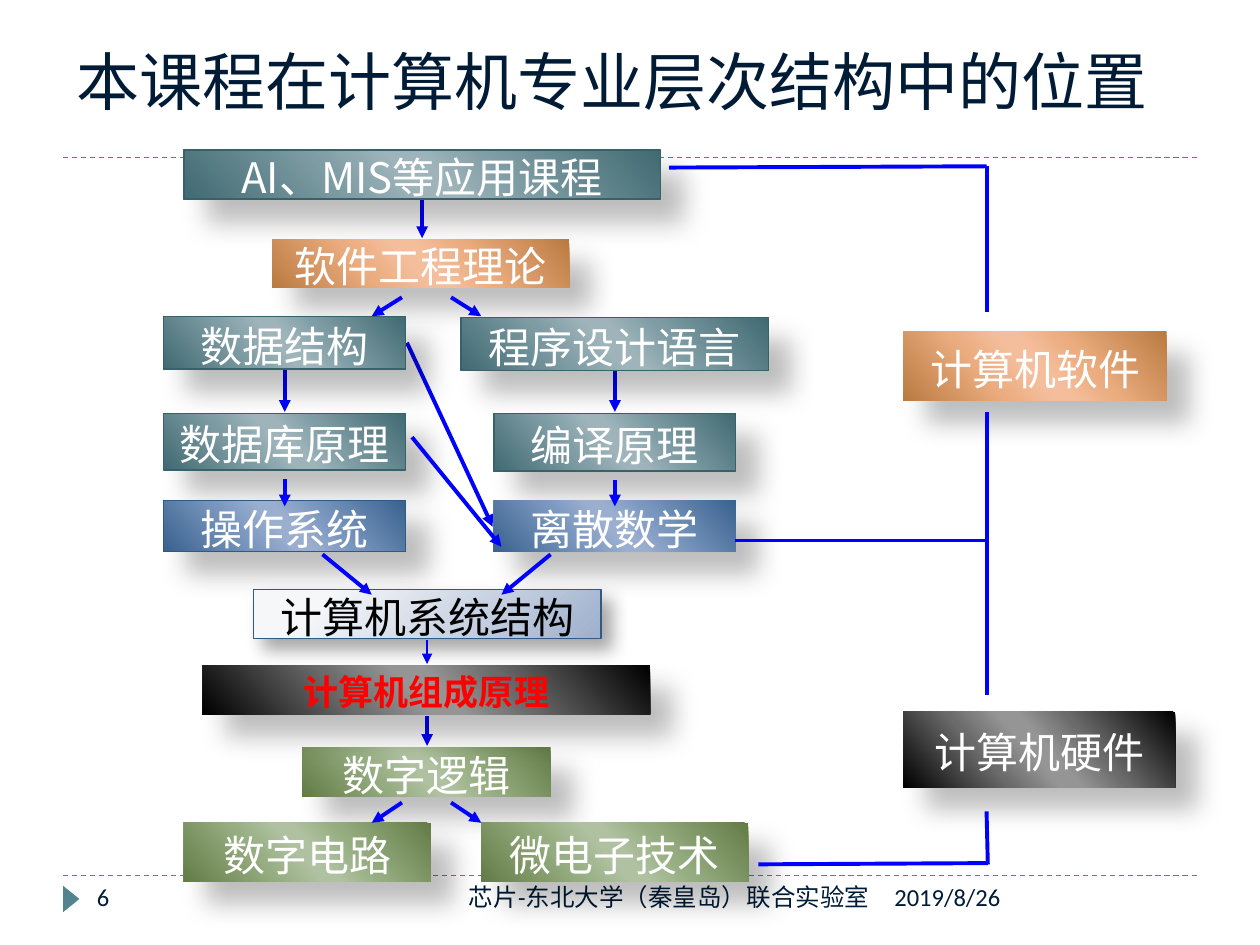
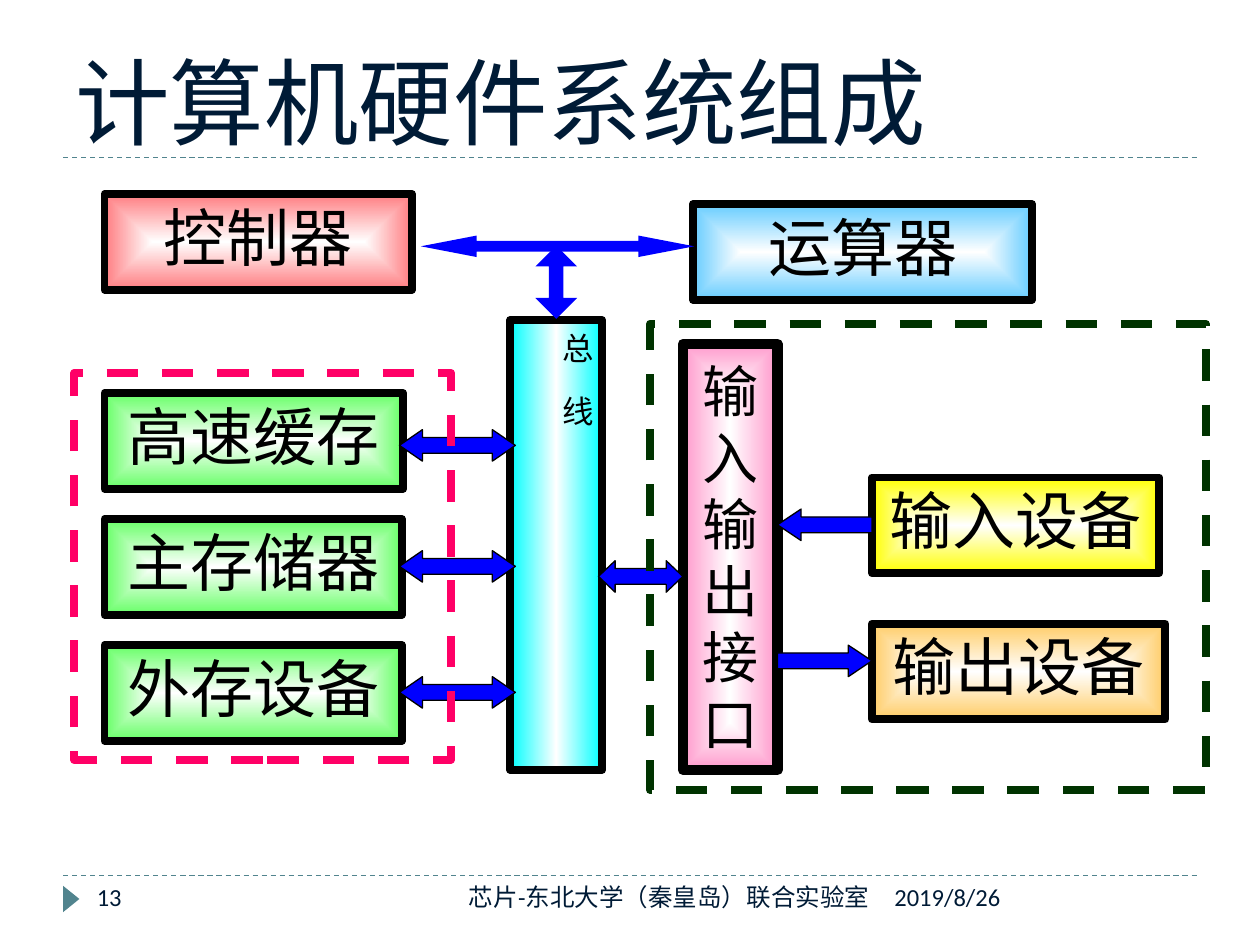
from lxml import etree
from pptx import Presentation
from pptx.dml.color import RGBColor
from pptx.enum.dml import MSO_LINE_DASH_STYLE as Dash
from pptx.enum.shapes import MSO_CONNECTOR, MSO_SHAPE as Shape
from pptx.enum.text import MSO_ANCHOR as Anchor, PP_ALIGN as Align
from pptx.oxml import parse_xml
from pptx.oxml.ns import nsdecls, qn
from pptx.util import Inches, Pt

COLORS = {
    "ink": "001B36", "rule": "51848E", "arrow": "0000FF",
    "black": "000000", "white": "FFFFFF", "red": "FF0000",
    "cyan": "00FFFF", "green": "66FF66", "rose": "FF7C80", "sky": "66CCFF",
    "yellow": "FFFF00", "amber": "FFCC66", "pink": "FF99CC",
    "io_frame": "003300", "memory_frame": "FF0066",
    "teal_edge": "396169", "blue_edge": "305984",
}
# Edge, middle and centre colours of each glossy band
GLOSS = {
    "teal": ("416A72", "7E9CA4", "9EB4BA"),
    "orange": ("BA7B42", "EBAC7F", "F4BE9C"),
    "blue": ("39628E", "7996BE", "9AAECF"),
    "gray": ("000000", "6B6B6B", "959595"),
    "olive": ("637C46", "96AD81", "AFC1A0"),
}
CJK, LATIN, HEADING = "Noto Sans CJK SC", "Calibri", "Roboto Slab"
COLUMNS, ROWS = 100, 75


def linear(stops, angle):
    return stops, f'<a:lin ang="{angle * 60000}" scaled="0"/>'


def radial(stops, outline, *sides):
    rect = " ".join(f'{name}="{side * 1000}"' for name, side in zip("ltrb", sides))
    return stops, f'<a:path path="{outline}"><a:fillToRect {rect}/></a:path>'


def gloss(name):
    edge, middle, centre = GLOSS[name]
    return linear([(0, edge), (33, middle), (47, centre), (53, centre),
                   (68, middle), (100, edge)], 139)


def glow(name):
    return radial([(0, COLORS["white"]), (100, COLORS[name])], "shape", 50, 50, 50, 50)


class Deck:
    """Holds the style and the current slide; lengths are grid columns and rows."""

    def __init__(self):
        self.prs = Presentation()
        self.prs.slide_width, self.prs.slide_height = Inches(10), Inches(7.5)
        self.slide = None

    def x(self, columns):
        return round(self.prs.slide_width * columns / COLUMNS)

    def y(self, rows):
        return round(self.prs.slide_height * rows / ROWS)

    def area(self, left, top, width, height):
        return self.x(left), self.y(top), self.x(width), self.y(height)

    def color(self, name):
        return RGBColor.from_string(COLORS[name])

    def stroke(self, line, color, width, dash=None):
        line.color.rgb = self.color(color)
        line.width = Pt(width)
        if dash:
            line.dash_style = dash

    def set_text(self, shape, text, size, color="black", font=CJK, align=Align.CENTER,
                 anchor=Anchor.MIDDLE, wrap=False, bold=False, spacing=None, tracking=0):
        frame = shape.text_frame
        frame.word_wrap, frame.vertical_anchor = wrap, anchor
        paragraph = frame.paragraphs[0]
        paragraph.text = text
        paragraph.alignment = align
        if spacing:
            paragraph.line_spacing = spacing
        style = paragraph.font
        style.size, style.bold, style.name = Pt(size), bold, font
        style.color.rgb = self.color(color)
        defaults = paragraph._p.pPr.find(qn("a:defRPr"))
        etree.SubElement(defaults, qn("a:ea"), typeface=CJK)
        if tracking:
            defaults.set("spc", str(tracking * 100))

    def label(self, area, text, size, **style):
        box = self.slide.shapes.add_textbox(*self.area(*area))
        self.set_text(box, text, size, color="ink", wrap=True, **style)
        return box

    def line(self, start, end, color="arrow", width=2.25, dash=None, arrow=False):
        link = self.slide.shapes.add_connector(
            MSO_CONNECTOR.STRAIGHT, self.x(start[0]), self.y(start[1]),
            self.x(end[0]), self.y(end[1]))
        self.stroke(link.line, color, width, dash)
        etree.SubElement(link._element.spPr, qn("a:effectLst"))
        if arrow:
            etree.SubElement(link.line._get_or_add_ln(), qn("a:tailEnd"), type="triangle")

    def shape(self, kind, area, fill=None, edge=None, width=0.75, dash=None, adjust=()):
        shape = self.slide.shapes.add_shape(kind, *self.area(*area))
        shape.shadow.inherit = False
        for index, value in enumerate(adjust):
            shape.adjustments[index] = value
        if fill:
            shape.fill.solid()
            shape.fill.fore_color.rgb = self.color(fill)
        else:
            shape.fill.background()
        if edge:
            self.stroke(shape.line, edge, width, dash)
        else:
            shape.line.fill.background()
        return shape

    def gradient_box(self, area, gradient, edge=None, width=0.75):
        box = self.shape(Shape.RECTANGLE, area, edge=edge, width=width)
        stops, direction = gradient
        marks = "".join(f'<a:gs pos="{pos * 1000}"><a:srgbClr val="{value}"/></a:gs>'
                        for pos, value in stops)
        properties = box._element.spPr
        properties.replace(properties.find(qn("a:noFill")), parse_xml(
            f'<a:gradFill {nsdecls("a")} rotWithShape="1"><a:gsLst>{marks}</a:gsLst>'
            f"{direction}</a:gradFill>"))
        return box

    def course(self, area, text, gradient, edge=None, shadow=(26, 15, 18),
               size=24, color="white", bold=False):
        box = self.gradient_box(area, gradient, edge)
        alpha, blur, distance = shadow
        box._element.spPr.find(qn("a:effectLst")).append(parse_xml(
            f'<a:outerShdw {nsdecls("a")} blurRad="{Pt(blur)}" dist="{Pt(distance)}" '
            f'dir="2700000" algn="tl" rotWithShape="0"><a:srgbClr val="000000">'
            f'<a:alpha val="{alpha * 1000}"/></a:srgbClr></a:outerShdw>'))
        self.set_text(box, text, size, color=color, bold=bold, spacing=1.1)

    def unit(self, area, text, tint):
        box = self.gradient_box(area, glow(tint), "black", 4.5)
        self.set_text(box, text, 36, spacing=0.85)

    def block_arrow(self, kind, area, head, edge="black"):
        self.shape(kind, area, "arrow", edge, adjust=(0.5, head))

    def new_slide(self, title, title_area, title_size, number):
        self.slide = self.prs.slides.add_slide(self.prs.slide_layouts[6])
        for row in (69.5, 12.5):
            self.line((5, row), (95, row), "rule", 0.75, Dash.DASH)
        marker = self.shape(Shape.ISOSCELES_TRIANGLE, (4.6, 70.7, 2.1, 1.3), "rule")
        marker.rotation = 90
        heading = self.label(title_area, title, title_size, font=HEADING,
                             align=Align.LEFT, anchor=Anchor.BOTTOM)
        heading.text_frame.margin_bottom = 0
        for left, width, text, align in (
                (6.7, 21.7, number, Align.LEFT),
                (70, 25, "2019/8/26", Align.LEFT),
                (31.7, 38.3, "芯片-东北大学（秦皇岛）联合实验室", Align.RIGHT)):
            self.label((left, 69.5, width, 4), text, 14, font=LATIN,
                       align=align, anchor=Anchor.TOP)


def course_map(deck):
    deck.new_slide("本课程在计算机专业层次结构中的位置", (5.1, 0, 93, 9.4), 36, "6")

    # Arrows that lie behind the courses
    for start, end in (((33.5, 15.8), (33.5, 18.9)), ((22.6, 29.4), (22.6, 32.7)),
                       ((48.8, 29.4), (48.8, 32.7)), ((32.3, 27.2), (39.1, 41.8)),
                       ((33.9, 56.8), (33.9, 59.2))):
        deck.line(start, end, arrow=True)

    # Courses, from applications down to circuits
    for area, name, tint, edge in (
            ((14.6, 11.9, 37.8, 3.9), "AI、MIS等应用课程", "teal", "teal_edge"),
            ((21.6, 19, 23.6, 3.8), "软件工程理论", "orange", None),
            ((13, 25.1, 19.2, 4.2), "数据结构", "teal", "teal_edge"),
            ((36.6, 25.2, 24.4, 4.2), "程序设计语言", "teal", "teal_edge"),
            ((13, 32.8, 19.2, 4.5), "数据库原理", "teal", "teal_edge"),
            ((39.2, 32.8, 19.2, 4.6), "编译原理", "teal", "teal_edge"),
            ((13, 39.7, 19.2, 4.1), "操作系统", "blue", "blue_edge"),
            ((39.2, 39.7, 19.2, 4.1), "离散数学", "blue", None),
            ((24, 59.3, 19.7, 3.9), "数字逻辑", "olive", None),
            ((14.6, 65.3, 19.6, 4.7), "数字电路", "olive", None),
            ((38.2, 65.3, 21.2, 4.7), "微电子技术", "olive", None),
            ((71.7, 26.3, 20.9, 5.5), "计算机软件", "orange", None),
            ((71.7, 56.5, 21.6, 6), "计算机硬件", "gray", None)):
        deck.course(area, name, gloss(tint), edge)
    architecture = radial([(20, "F5F7F9"), (100, "9FB0CD")], "circle", -15, -15, 115, 115)
    deck.course((20.1, 46.8, 27.6, 3.9), "计算机系统结构", architecture, "blue_edge",
                shadow=(35, 10.2, 8), color="black")
    deck.course((16.1, 52.8, 35.5, 3.9), "计算机组成原理", gloss("gray"),
                size=20, color="red", bold=True)

    # Brackets to software and hardware
    for start, end in (((53.1, 13.3), (78.3, 13.2)), ((78.3, 13.2), (78.3, 24.8)),
                       ((78.3, 32.7), (78.3, 55.2)), ((58.3, 42.9), (78.3, 42.9)),
                       ((78.3, 64.4), (78.4, 68.6)), ((78.4, 68.5), (60.2, 68.6))):
        deck.line(start, end)

    # Arrows in front: forks, merge and single steps
    for top, bottom in ((23.6, 25.1), (63.7, 65.3)):
        deck.line((35.8, top), (38.2, bottom), arrow=True)
        deck.line((31.9, top), (29.5, bottom), arrow=True)
    for start, end in (((25.6, 44), (29.5, 47.2)), ((43.7, 44), (39.8, 47.2)),
                       ((22.6, 38), (22.6, 40.2)), ((48.8, 38.1), (48.8, 40.2)),
                       ((32.7, 34.7), (39.8, 43.4))):
        deck.line(start, end, arrow=True)
    deck.line((33.9, 50.8), (33.9, 52.7), width=1.5, arrow=True)


def hardware_map(deck):
    deck.new_slide("计算机硬件系统组成", (5, 1.7, 90, 10.8), 54, "13")

    # Devices, memories and processor units
    for left, top, width, name, tint in (
            (69.2, 37.9, 22.8, "输入设备", "yellow"),
            (69.2, 49.5, 23.3, "输出设备", "amber"),
            (8.3, 51.2, 23.6, "外存设备", "green"),
            (8.3, 41.2, 23.6, "主存储器", "green"),
            (8.3, 31.2, 23.7, "高速缓存", "green"),
            (8.3, 15.4, 24.4, "控制器", "rose"),
            (55, 16.2, 26.9, "运算器", "sky")):
        deck.unit((left, top, width, 7.6), name, tint)

    # Bus
    bus_fill = linear([(0, COLORS["cyan"]), (50, COLORS["white"]), (100, COLORS["cyan"])], 0)
    bus = deck.gradient_box((40.5, 25.4, 7.3, 35.7), bus_fill, "black", 4.5)
    deck.set_text(bus, "总线", 18, align=Align.LEFT, anchor=Anchor.TOP, wrap=True, tracking=18)
    bus.text_frame._txBody.bodyPr.set("vert", "eaVert")

    # Input and output interface
    interface = deck.gradient_box((54.2, 27.3, 7.5, 33.8), glow("pink"), "black", 6)
    deck.set_text(interface, "输入输出接口", 32, wrap=True, spacing=Pt(38))

    # Data paths
    deck.block_arrow(Shape.RIGHT_ARROW, (61.7, 51.2, 7.5, 2.5), 0.75)
    deck.block_arrow(Shape.LEFT_ARROW, (61.7, 40.4, 7.5, 2.5), 0.75)
    for top in (34.1, 43.7, 53.7):
        deck.block_arrow(Shape.LEFT_RIGHT_ARROW, (31.7, top, 9.2, 2.5), 0.73)
    deck.block_arrow(Shape.LEFT_RIGHT_ARROW, (47.5, 44.5, 6.7, 2.5), 0.53)
    deck.block_arrow(Shape.LEFT_RIGHT_ARROW, (33.4, 18.7, 21.7, 1.7), 2.6, edge=None)
    deck.block_arrow(Shape.UP_DOWN_ARROW, (42.5, 19.5, 3.3, 5.8), 0.35, edge=None)

    # Dashed frames around the peripherals and the memories
    for area, color in (((51.6, 25.7, 44.1, 37), "io_frame"),
                        ((5.9, 29.6, 29.9, 30.7), "memory_frame")):
        deck.shape(Shape.RECTANGLE, area, edge=color, width=4.5, dash=Dash.DASH)


def main():
    deck = Deck()
    course_map(deck)
    hardware_map(deck)
    deck.prs.save("out.pptx")


if __name__ == "__main__":
    main()
